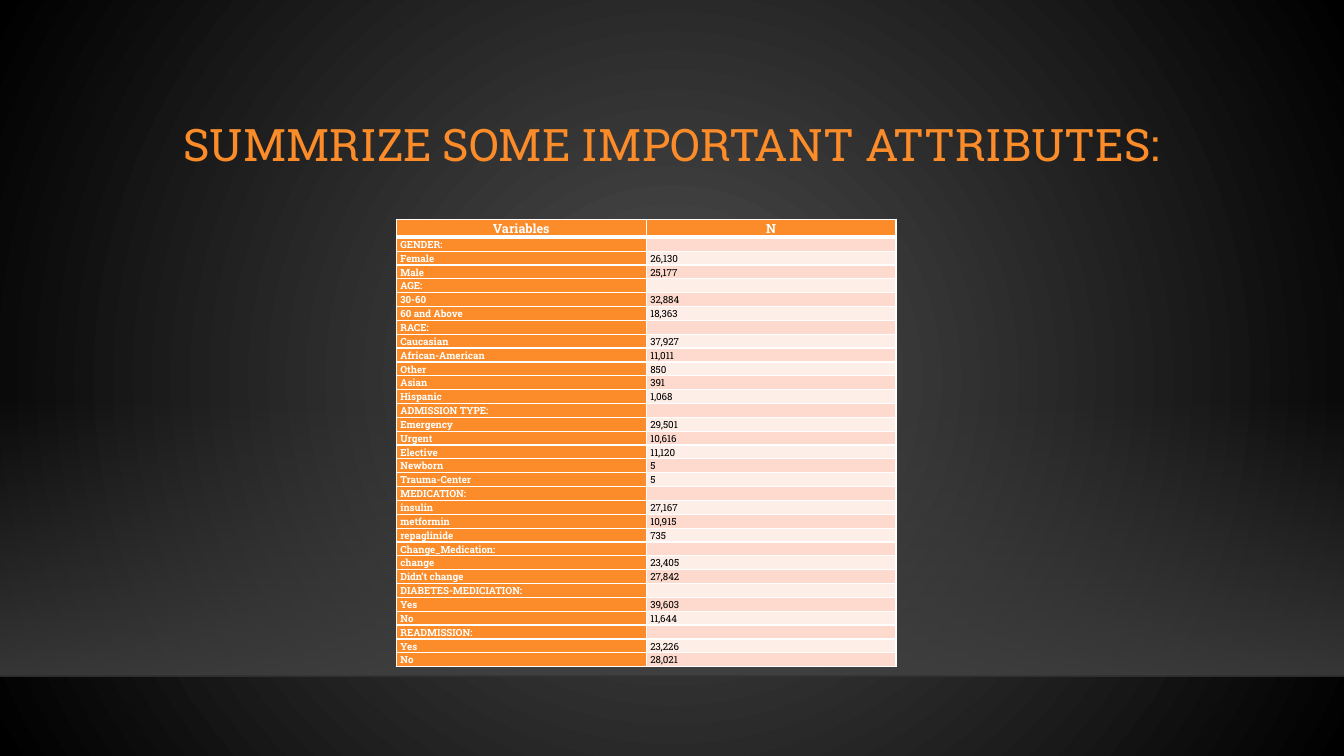
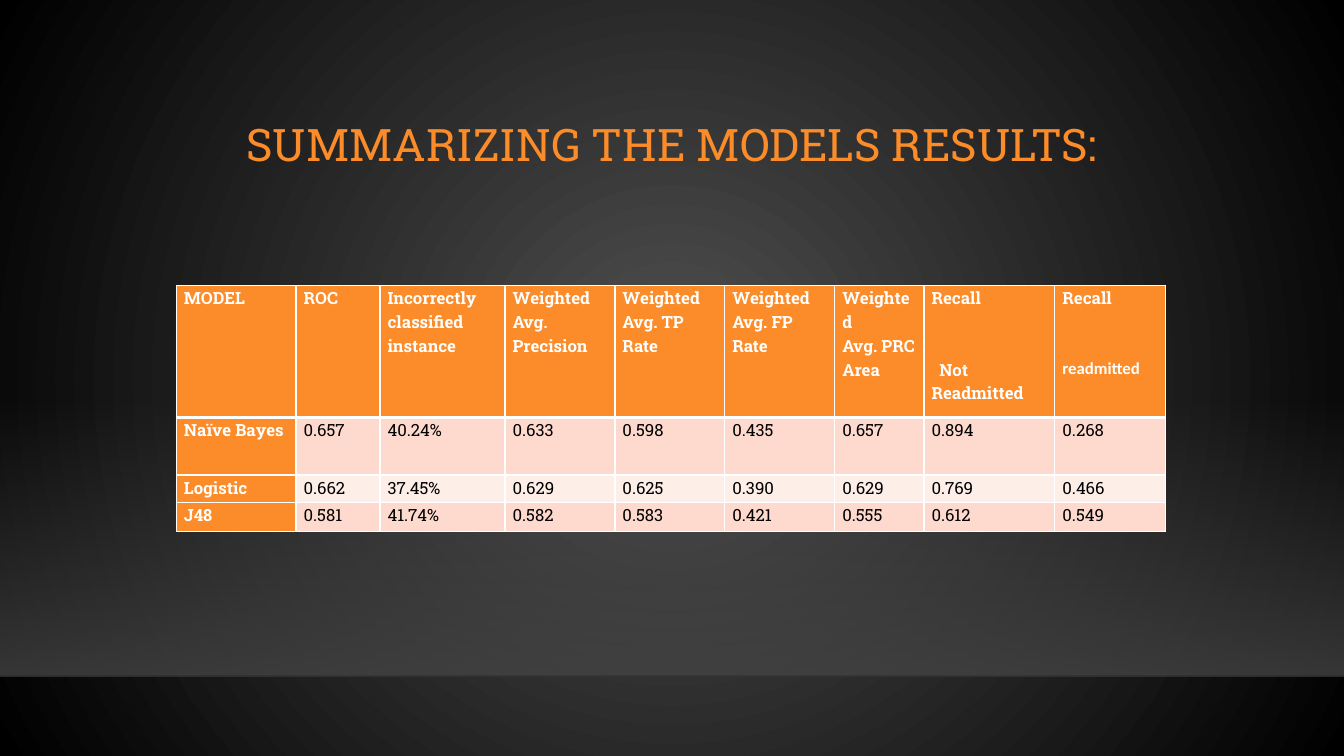
from lxml.etree import SubElement
from pptx import Presentation
from pptx.dml.color import RGBColor
from pptx.enum.shapes import MSO_CONNECTOR as Connector, MSO_SHAPE as Shape
from pptx.enum.text import MSO_ANCHOR as Anchor, PP_ALIGN as Align
from pptx.oxml import parse_xml
from pptx.oxml.ns import nsdecls, qn
from pptx.util import Pt

ORANGE, WHITE, BLACK = "FB8C29", "FFFFFF", "000000"
ROW_TINTS = ["FEEEE8", "FDDACD"]
FONT = "Roboto Slab"
LINE_SPACING = 1.07


def color(hex_string):
    return RGBColor.from_string(hex_string)


def add_styled_table(slide, left, top, widths, heights, rows, size, inset):
    """Orange header row and first column, tinted body rows, white borders."""
    table = slide.shapes.add_table(len(rows), len(widths), Pt(left), Pt(top),
                                   Pt(sum(widths)), Pt(sum(heights))).table
    table.horz_banding = False
    for column, width in zip(table.columns, widths):
        column.width = Pt(width)
    for r, values in enumerate(rows):
        table.rows[r].height = Pt(heights[r])
        for c, value in enumerate(values):
            cell = table.cell(r, c)
            cell.margin_left = cell.margin_right = Pt(inset)
            cell.margin_top = cell.margin_bottom = 0
            heading = r == 0 or c == 0

            # Borders come before the fill in the cell properties
            properties = cell._tc.get_or_add_tcPr()
            for side in "LRTB":
                thick = (r, side) in [(0, "B"), (1, "T")]
                border = SubElement(properties, qn(f"a:ln{side}"), w=str(Pt(3 if thick else 1)))
                solid = SubElement(border, qn("a:solidFill"))
                SubElement(solid, qn("a:srgbClr"), val=WHITE)
            cell.fill.solid()
            cell.fill.fore_color.rgb = color(ORANGE if heading else ROW_TINTS[r % 2])

            # One paragraph for each line of the value
            for i, line in enumerate(value.split("\n")):
                frame = cell.text_frame
                paragraph = frame.add_paragraph() if i else frame.paragraphs[0]
                paragraph.line_spacing = LINE_SPACING
                if not line:
                    SubElement(paragraph._p, qn("a:endParaRPr"), sz=str(size * 100))
                    continue
                run = paragraph.add_run()
                run.text = line
                run.font.name = FONT
                run.font.size = Pt(9 if size == 7 and r == 0 else size)
                run.font.bold = heading
                run.font.color.rgb = color(WHITE if heading else BLACK)
    return table


presentation = Presentation()
presentation.slide_width = Pt(960)
presentation.slide_height = Pt(540)
layout = presentation.slide_layouts[5]

# Slides and their titles
for title_text in ["SUMMRIZE SOME IMPORTANT ATTRIBUTES:",
                   "SUMMARIZING THE MODELS RESULTS:"]:
    title = presentation.slides.add_slide(layout).shapes.title
    title.left, title.top, title.width, title.height = Pt(114.5), Pt(63.5), Pt(731.5), Pt(83)
    title.text_frame.word_wrap = True
    title.text_frame.vertical_anchor = Anchor.MIDDLE
    paragraph = title.text_frame.paragraphs[0]
    paragraph.alignment = Align.CENTER
    paragraph.line_spacing = 0.9
    run = paragraph.add_run()
    run.text = title_text
    run.font.name = FONT
    run.font.size = Pt(32)
    run.font.color.rgb = color(ORANGE)
attributes_slide, results_slide = presentation.slides

# Shared background: a radial gradient on the layout
background = layout.background.fill
background.gradient()
for stop, shade in zip(background.gradient_stops, ["505050", BLACK]):
    stop.color.rgb = color(shade)
gradient = layout.element.find(".//" + qn("a:gradFill"))
gradient.replace(gradient.find(qn("a:lin")), parse_xml(
    f'<a:path {nsdecls("a")} path="circle">'
    '<a:fillToRect l="50000" t="50000" r="50000" b="50000"/></a:path>'))

# Shared floor: a band that fades in downwards and a faint line under it
band = attributes_slide.shapes.add_shape(Shape.RECTANGLE, 0, Pt(285), Pt(960), Pt(198))
band.shadow.inherit = False
band.line.fill.background()
band.fill.gradient()
band.fill.gradient_angle = 270
for stop in band.fill.gradient_stops:
    stop.color.rgb = color("454545")

floor_line = attributes_slide.shapes.add_connector(
    Connector.STRAIGHT, 0, Pt(483), Pt(960), Pt(483))
floor_line.line.width = Pt(1)
floor_line.line.color.rgb = color("000001")
SubElement(floor_line.element.spPr, qn("a:effectLst"))

for number, (part, opacities) in enumerate([(band, [0, 80]), (floor_line, [20])]):
    for tone, opacity in zip(part.element.spPr.iter(qn("a:srgbClr")), opacities):
        SubElement(tone, qn("a:alpha"), val=str(opacity * 1000))
    part.element.find(".//" + qn("p:cNvPr")).set("id", str(20 + number))
    layout.shapes.element.insert(2 + number, part.element)

# Slide 1: counts by attribute
attribute_groups = {
    "GENDER:": [("Female", "26,130"), ("Male", "25,177")],
    "AGE:": [("30-60", "32,884"), ("60 and Above", "18,363")],
    "RACE:": [("Caucasian", "37,927"), ("African-American", "11,011"), ("Other", "850"),
              ("Asian", "391"), ("Hispanic", "1,068")],
    "ADMISSION TYPE:": [("Emergency", "29,501"), ("Urgent", "10,616"),
                        ("Elective", "11,120"), ("Newborn", "5"), ("Trauma-Center", "5")],
    "MEDICATION:": [("insulin", "27,167"), ("metformin", "10,915"), ("repaglinide", "735")],
    "Change_Medication:": [("change", "23,405"), ("Didn’t change", "27,842")],
    "DIABETES-MEDICIATION:": [("Yes", "39,603"), ("No", "11,644")],
    "READMISSION:": [("Yes", "23,226"), ("No", "28,021")],
}
attribute_rows = [("Variables", "N")]
for group, counts in attribute_groups.items():
    attribute_rows += [(group, ""), *counts]
attributes_table = add_styled_table(
    attributes_slide, 283, 156.5, [178.5] * 2,
    [13] + [9.9] * (len(attribute_rows) - 1), attribute_rows, size=7, inset=3)
for cell in attributes_table.rows[0].cells:
    cell.text_frame.paragraphs[0].alignment = Align.CENTER

# Slide 2: model results
result_rows = [
    ["MODEL", "ROC", "Incorrectly classified instance", "Weighted\nAvg. Precision",
     "Weighted\nAvg. TP Rate", "Weighted\nAvg. FP Rate", "Weighted\nAvg. PRC Area",
     "Recall\nNot Readmitted", "Recall\nreadmitted"],
    ["Naïve Bayes", "0.657", "40.24%", "0.633", "0.598", "0.435", "0.657", "0.894", "0.268"],
    ["Logistic", "0.662", "37.45%", "0.629", "0.625", "0.390", "0.629", "0.769", "0.466"],
    ["J48", "0.581", "41.74%", "0.582", "0.583", "0.421", "0.555", "0.612", "0.549"],
]
results_table = add_styled_table(
    results_slide, 126, 204, [85.5, 60, 89.3, 78.5, 78.5, 78.5, 63.8, 93.5, 79.2],
    [94.3, 41, 19.7, 20.6], result_rows, size=12, inset=5.4)

# The recall headings leave a two-line gap above their second paragraph
not_readmitted, readmitted = [
    results_table.cell(0, c).text_frame.paragraphs[1] for c in (7, 8)]
for paragraph in (not_readmitted, readmitted):
    paragraph.space_before = Pt(34)
not_readmitted._p.get_or_add_pPr().set("indent", str(Pt(5.5)))
readmitted.runs[0].font.name = "Calibri"

presentation.save("out.pptx")
